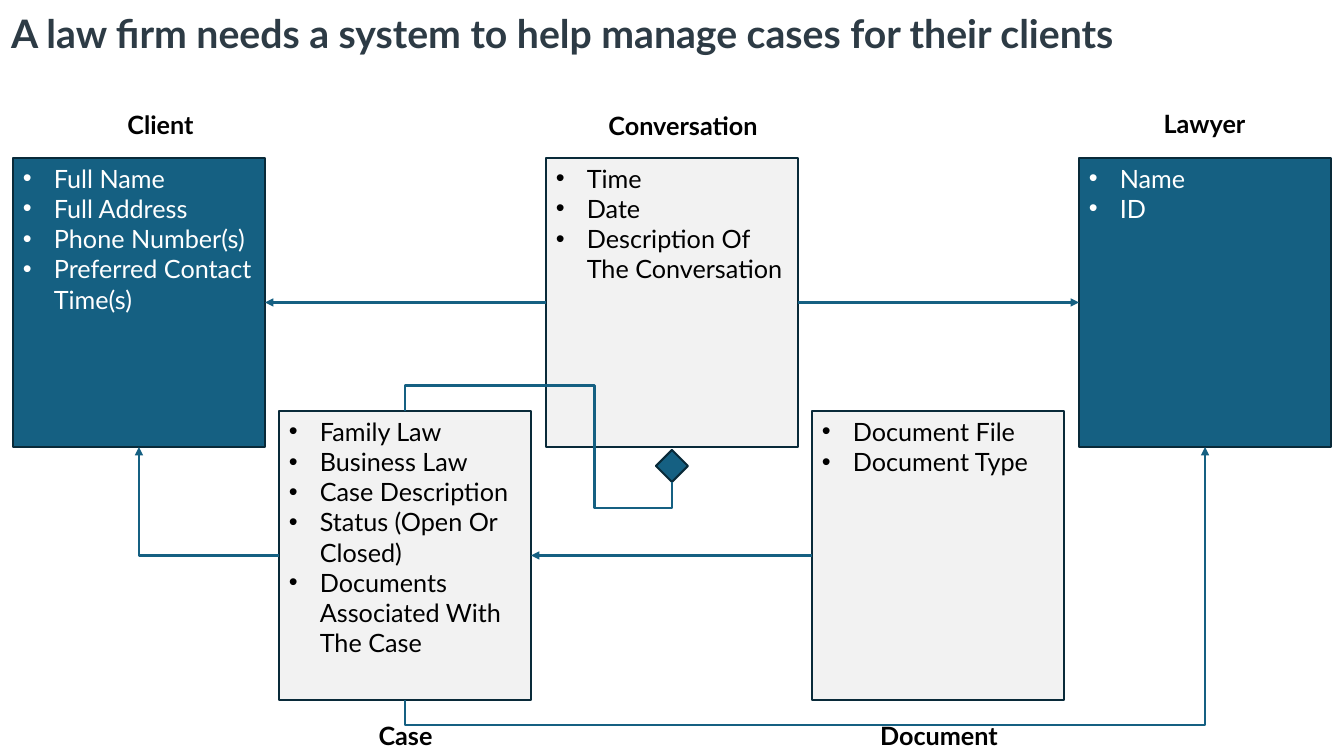
from lxml import etree
from pptx import Presentation
from pptx.dml.color import RGBColor
from pptx.enum.shapes import MSO_CONNECTOR, MSO_SHAPE
from pptx.enum.text import MSO_ANCHOR, MSO_AUTO_SIZE, PP_ALIGN
from pptx.oxml.ns import qn
from pptx.util import Pt

RECTANGLE, DIAMOND = MSO_SHAPE.RECTANGLE, MSO_SHAPE.DIAMOND
STRAIGHT, ELBOW = MSO_CONNECTOR.STRAIGHT, MSO_CONNECTOR.ELBOW
LEFT_ALIGN, CENTER = PP_ALIGN.LEFT, PP_ALIGN.CENTER
ANCHOR_TOP, FIT_TEXT = MSO_ANCHOR.TOP, MSO_AUTO_SIZE.SHAPE_TO_FIT_TEXT
TOP, LEFT, BOTTOM, RIGHT = range(4)  # connection sites

BLUE = RGBColor(0x15, 0x60, 0x82)
GREY = RGBColor(0xF2, 0xF2, 0xF2)
OUTLINE = RGBColor(0x09, 0x2A, 0x39)
HEADING = RGBColor(0x2D, 0x3B, 0x45)
BLACK = RGBColor(0x00, 0x00, 0x00)
WHITE = RGBColor(0xFF, 0xFF, 0xFF)

FONT = "Lato"
EMU_PER_PX = 914400 / 100.8
BOX_W, BOX_H = 252, 289
UPPER_ROW, LOWER_ROW = 158, 411
BULLET_INDENT = 31

# name: column, row top, fill, text colour, label (left, top, width), attributes
ENTITIES = {
    "Client": (0, UPPER_ROW, BLUE, WHITE, (100, 104, 121),
               ["Full Name", "Full Address", "Phone Number(s)",
                "Preferred Contact Time(s)"]),
    "Case": (1, LOWER_ROW, GREY, BLACK, (345, 715, 121),
             ["Family Law", "Business Law", "Case Description",
              "Status (Open Or Closed)",
              "Documents Associated With The Case"]),
    "Lawyer": (4, UPPER_ROW, BLUE, WHITE, (1144, 103, 121),
               ["Name", "ID"]),
    "Conversation": (2, UPPER_ROW, GREY, BLACK, (579, 105, 208),
                     ["Time", "Date", "Description Of The Conversation"]),
    "Document": (3, LOWER_ROW, GREY, BLACK, (835, 715, 208),
                 ["Document File", "Document Type"]),
}


def px(value):
    return round(value * EMU_PER_PX)


def style_text(paragraph, size, color, bold=False, align=LEFT_ALIGN):
    paragraph.alignment = align
    for run in paragraph.runs:
        run.font.name = FONT
        run.font.size = Pt(size)
        run.font.bold = bold
        run.font.color.rgb = color


def add_bullet(paragraph):
    properties = paragraph._p.get_or_add_pPr()
    properties.set("marL", str(px(BULLET_INDENT)))
    properties.set("indent", str(-px(BULLET_INDENT)))
    etree.SubElement(properties, qn("a:buFont")).set("typeface", "Arial")
    etree.SubElement(properties, qn("a:buChar")).set("char", "•")


def add_title(slide, text):
    title = slide.shapes.title
    title.left, title.top, title.width, title.height = map(px, (1, 4, 1207, 57))
    title.text_frame.text = text
    title.text_frame.vertical_anchor = ANCHOR_TOP
    style_text(title.text_frame.paragraphs[0], 28, HEADING, bold=True)


def add_filled_shape(slide, kind, left, top, width, height, fill):
    shape = slide.shapes.add_shape(kind, *map(px, (left, top, width, height)))
    shape.shadow.inherit = False
    shape.fill.solid()
    shape.fill.fore_color.rgb = fill
    shape.line.color.rgb = OUTLINE
    shape.line.width = Pt(1.5)
    return shape


def add_label(slide, text, left, top, width):
    label = slide.shapes.add_textbox(*map(px, (left, top, width, 40)))
    frame = label.text_frame
    frame.word_wrap = True
    frame.auto_size = FIT_TEXT
    frame.text = text
    style_text(frame.paragraphs[0], 18, BLACK, bold=True, align=CENTER)


def add_entity(slide, name, column, top, fill, color, label, attributes):
    left = 13 + column * 533 // 2
    box = add_filled_shape(slide, RECTANGLE, left, top, BOX_W, BOX_H, fill)
    frame = box.text_frame
    frame.word_wrap = True
    frame.vertical_anchor = ANCHOR_TOP
    frame.text = "\n".join(attributes)
    for paragraph in frame.paragraphs:
        style_text(paragraph, 18, color)
        add_bullet(paragraph)
    add_label(slide, name, *label)
    return box


def add_link(slide, source, source_site, target, target_site,
             kind=STRAIGHT, arrow=True):
    link = slide.shapes.add_connector(kind, 0, 0, 0, 0)
    link.begin_connect(source, source_site)
    link.end_connect(target, target_site)
    link.line.color.rgb = BLUE
    link.line.width = Pt(1.5)
    if arrow:
        outline = link.line._get_or_add_ln()
        etree.SubElement(outline, qn("a:tailEnd")).set("type", "triangle")
    etree.SubElement(link._element.spPr, qn("a:effectLst"))
    return link


def bend(link, preset, quarter_turns, adjustments=()):
    """Route an elbow link: turn its frame about the centre and set its bends."""
    begin_x, begin_y, end_x, end_y = (
        link.begin_x, link.begin_y, link.end_x, link.end_y)
    run, rise = end_x - begin_x, end_y - begin_y
    for _ in range(quarter_turns):
        run, rise = rise, -run
    link.width, link.height = abs(run), abs(rise)
    link.left = (begin_x + end_x - abs(run)) // 2
    link.top = (begin_y + end_y - abs(rise)) // 2

    properties = link._element.spPr
    frame = properties.find(qn("a:xfrm"))
    frame.set("rot", str(quarter_turns * 5400000))
    frame.set("flipH", str(int(run < 0)))
    frame.set("flipV", str(int(rise < 0)))

    geometry = properties.find(qn("a:prstGeom"))
    geometry.set("prst", preset)
    guides = geometry.find(qn("a:avLst"))
    for number, value in enumerate(adjustments, start=1):
        guide = etree.SubElement(guides, qn("a:gd"))
        guide.set("name", f"adj{number}")
        guide.set("fmla", f"val {round(value * 100000)}")


def main():
    deck = Presentation()
    deck.slide_width, deck.slide_height = px(1344), px(756)
    slide = deck.slides.add_slide(deck.slide_layouts[5])
    add_title(slide, "A law firm needs a system to help manage cases "
                     "for their clients")

    # Entities with their attributes
    boxes = {name: add_entity(slide, name, *details)
             for name, details in ENTITIES.items()}
    client, case, lawyer = boxes["Client"], boxes["Case"], boxes["Lawyer"]
    conversation, document = boxes["Conversation"], boxes["Document"]

    # Links from the case to its people
    case_client = add_link(slide, case, LEFT, client, BOTTOM, ELBOW)
    bend(case_client, "bentConnector2", 2)
    case_lawyer = add_link(slide, case, BOTTOM, lawyer, BOTTOM, ELBOW)
    bend(case_lawyer, "bentConnector3", 1, [-0.1])

    # Straight links
    add_link(slide, conversation, LEFT, client, RIGHT)
    add_link(slide, conversation, RIGHT, lawyer, LEFT)
    add_link(slide, document, LEFT, case, RIGHT)

    # Conversations belong to a case
    composition = add_filled_shape(slide, DIAMOND, 656, 450, 32, 32, BLUE)
    case_conversation = add_link(slide, composition, BOTTOM, case, TOP,
                                 ELBOW, arrow=False)
    bend(case_conversation, "bentConnector5", 1, [-0.36, 0.29, 1.36])

    deck.save("out.pptx")


if __name__ == "__main__":
    main()
